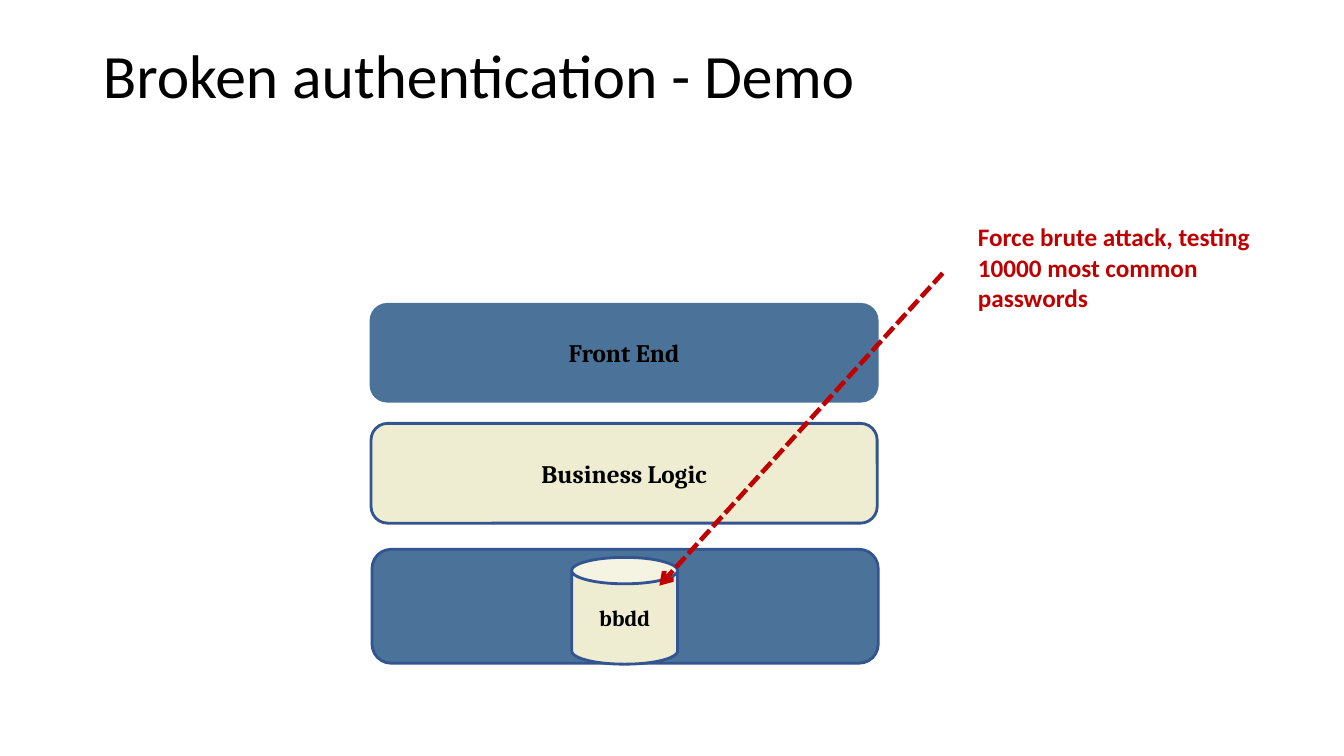
from lxml import etree
from pptx import Presentation
from pptx.dml.color import RGBColor
from pptx.enum.dml import MSO_LINE
from pptx.enum.shapes import MSO_CONNECTOR, MSO_SHAPE
from pptx.enum.text import MSO_ANCHOR, PP_ALIGN
from pptx.oxml.ns import qn
from pptx.util import Inches, Pt

ROUNDED = MSO_SHAPE.ROUNDED_RECTANGLE
CYLINDER = MSO_SHAPE.CAN
STRAIGHT = MSO_CONNECTOR.STRAIGHT
SHORT_DASH = MSO_LINE.SQUARE_DOT
TOP, MIDDLE = MSO_ANCHOR.TOP, MSO_ANCHOR.MIDDLE
LEFT, CENTER = PP_ALIGN.LEFT, PP_ALIGN.CENTER

STEEL = "4B7399"
CREAM = "EFEDD1"
NAVY = "325491"
RED = "C00000"
BLACK = "000000"


def color(value):
    return RGBColor.from_string(value)


def write_text(shape, text, size=18, font="Calibri", fill=BLACK, bold=False,
               align=LEFT, anchor=TOP, line_spacing=None):
    frame = shape.text_frame
    frame.word_wrap = True
    frame.vertical_anchor = anchor
    frame.text = text
    paragraph = frame.paragraphs[0]
    paragraph.alignment = align
    paragraph.line_spacing = line_spacing
    text_font = paragraph.runs[0].font
    text_font.name = font
    text_font.size = Pt(size)
    text_font.bold = bold
    text_font.color.rgb = color(fill)


def place_title(slide, text):
    title = slide.shapes.title
    title.left, title.top = Inches(0.92), Inches(0.4)
    title.width, title.height = Inches(11.5), Inches(1.45)
    write_text(title, text, size=44, line_spacing=0.9)


def add_block(slide, kind, left, top, width, height, fill, outline=NAVY,
              text="", size=18):
    shape = slide.shapes.add_shape(
        kind, Inches(left), Inches(top), Inches(width), Inches(height))
    shape.shadow.inherit = False
    shape.fill.solid()
    shape.fill.fore_color.rgb = color(fill)
    shape.line.color.rgb = color(outline)
    shape.line.width = Pt(2)
    if text:
        write_text(shape, text, size=size, font="Cambria", bold=True,
                   align=CENTER, anchor=MIDDLE)


def add_attack_arrow(slide, start_x, start_y, end_x, end_y):
    arrow = slide.shapes.add_connector(
        STRAIGHT, Inches(start_x), Inches(start_y), Inches(end_x), Inches(end_y))
    arrow.line.color.rgb = color(RED)
    arrow.line.width = Pt(3.25)
    arrow.line.dash_style = SHORT_DASH
    etree.SubElement(arrow.line._get_or_add_ln(), qn("a:tailEnd"), type="arrow")
    etree.SubElement(arrow._element.spPr, qn("a:effectLst"))


def add_note(slide, left, top, width, height, text):
    note = slide.shapes.add_textbox(
        Inches(left), Inches(top), Inches(width), Inches(height))
    write_text(note, text, fill=RED, bold=True)


def main():
    presentation = Presentation()
    presentation.slide_width = Inches(13.33)
    presentation.slide_height = Inches(7.5)
    slide = presentation.slides.add_slide(presentation.slide_layouts[5])
    place_title(slide, "Broken authentication - Demo")

    # Application layers, from the database up
    add_block(slide, ROUNDED, 3.69, 5.45, 5.02, 1.13, STEEL)
    add_block(slide, CYLINDER, 5.67, 5.53, 1.05, 1.06, CREAM,
              text="bbdd", size=16)
    add_block(slide, ROUNDED, 3.68, 4.2, 5.02, 0.99, CREAM,
              text="Business Logic")
    add_block(slide, ROUNDED, 3.68, 3.02, 5.02, 0.96, STEEL, outline=STEEL,
              text="Front End")

    # Attack reaching the database
    add_attack_arrow(slide, 9.35, 2.71, 6.54, 5.81)
    add_note(slide, 9.6, 2.15, 3.22, 1,
             "Force brute attack, testing 10000 most common passwords")

    presentation.save("out.pptx")


if __name__ == "__main__":
    main()
